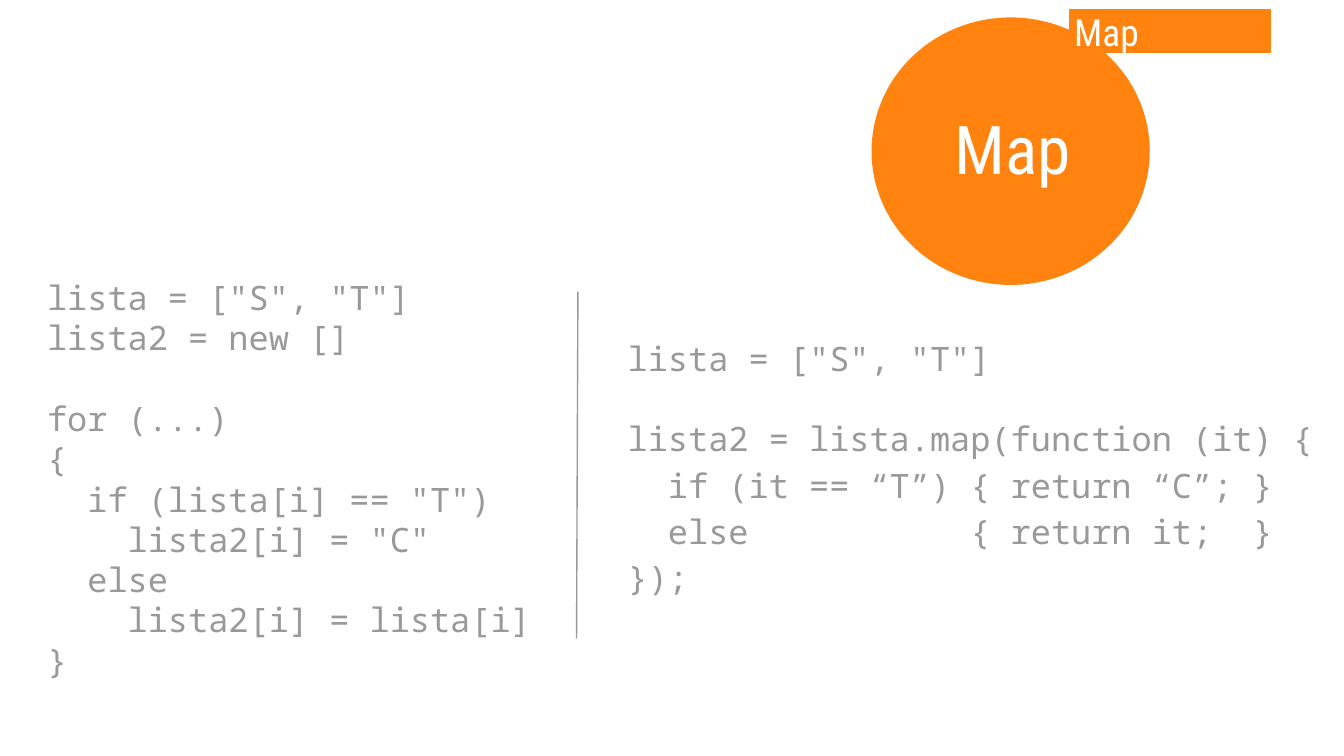
"""Build the slide comparing a loop with map."""
from typing import NamedTuple

from lxml import etree
from pptx import Presentation
from pptx import util as u
from pptx.dml.color import RGBColor
from pptx.enum import shapes, text
from pptx.oxml.ns import qn

COLUMNS, ROWS = 100, 56.25
CELL = u.Inches(0.1)
ORANGE, WHITE, GRAY = "FF830E", "FFFFFF", "999999"
HEAD_FONT, CODE_FONT = "Roboto Condensed", "Noto Sans Mono"
CODE_SIZE = 18
BLANK = 1.2 * CODE_SIZE


class Box(NamedTuple):
    """Place and size in grid columns and rows."""
    col: float
    row: float
    cols: float
    rows: float


class Line(NamedTuple):
    """One line of code and its spacing."""
    text: str
    before: float = 0
    spacing: float = 1.0


LOOP = [
    Line('lista = ["S", "T"]'),
    Line("lista2 = new []"),
    Line("for (...)", BLANK),
    Line("{"),
    Line('  if (lista[i] == "T")'),
    Line('    lista2[i] = "C"'),
    Line("  else"),
    Line("    lista2[i] = lista[i]"),
    Line("}"),
]
MAPPED = [
    Line('lista = ["S", "T"]'),
    Line("lista2 = lista.map(function (it) {", BLANK),
    Line("  if (it == “T”) { return “C”; }", spacing=1.15),
    Line("  else           { return it;  }", spacing=1.15),
    Line("});", spacing=1.15),
]


def rgb(value: str) -> RGBColor:
    """Turn a hex string into a colour."""
    return RGBColor.from_string(value)


def grid(*cells: float) -> list[int]:
    """Turn grid cells into lengths."""
    return [round(c * CELL) for c in cells]


def add_block(s, kind, box: Box) -> None:
    """Draw an orange shape."""
    sp = s.shapes.add_shape(kind, *grid(*box))
    sp.shadow.inherit = False
    sp.fill.solid()
    sp.fill.fore_color.rgb = sp.line.color.rgb = rgb(ORANGE)
    sp.line.width = u.Pt(0.75)


def frame(sp, box: Box, anchor):
    """Move a text shape to its box, in front, and return its text frame."""
    sp.left, sp.top, sp.width, sp.height = grid(*box)
    parent = sp._element.getparent()
    parent.append(sp._element)
    tf = sp.text_frame
    tf.word_wrap, tf.auto_size, tf.vertical_anchor = True, text.MSO_AUTO_SIZE.NONE, anchor
    tf.margin_left = tf.margin_right = tf.margin_top = tf.margin_bottom = CELL
    return tf


def write(p, words: str, font: str, size: float, color: str) -> None:
    """Add formatted words to a paragraph."""
    r = p.add_run()
    r.text = words
    r.font.name, r.font.size, r.font.color.rgb = font, u.Pt(size), rgb(color)


def add_heading(sp, box: Box, size: float, align) -> None:
    """Write the white name of the function."""
    p = frame(sp, box, text.MSO_ANCHOR.TOP).paragraphs[0]
    p.alignment = align
    write(p, "Map", HEAD_FONT, size, WHITE)


def add_code(sp, box: Box, lines: list[Line]) -> None:
    """Write lines of code without bullets."""
    tf = frame(sp, box, text.MSO_ANCHOR.MIDDLE)
    for i, line in enumerate(lines):
        p = tf.add_paragraph() if i else tf.paragraphs[0]
        p.line_spacing, p.space_before = line.spacing, u.Pt(line.before)
        ppr = p._p.get_or_add_pPr()
        ppr.set("marL", "0")
        ppr.set("indent", "0")
        etree.SubElement(ppr, qn("a:buNone"))
        write(p, line.text, CODE_FONT, CODE_SIZE, GRAY)


def add_divider(s, *ends: float) -> None:
    """Draw the thin line between the two listings."""
    line = s.shapes.add_connector(shapes.MSO_CONNECTOR.STRAIGHT, *grid(*ends))
    line.line.color.rgb, line.line.width = rgb(GRAY), u.Pt(0.75)
    etree.SubElement(line._element.spPr, qn("a:effectLst"))


def main() -> None:
    """Build and save the slide."""
    prs = Presentation()
    prs.slide_width, prs.slide_height = grid(COLUMNS, ROWS)
    s = prs.slides.add_slide(prs.slide_layouts[3])
    title, left, right = list(s.placeholders)[:3]
    add_block(s, shapes.MSO_SHAPE.OVAL, Box(64.9, 1.35, 20.6, 19.8))
    add_block(s, shapes.MSO_SHAPE.RECTANGLE, Box(79.6, 0.7, 14.9, 3.2))
    label = Box(78.95, -0.3, 10.3, 4.2)
    add_heading(s.shapes.add_textbox(*grid(*label)), label, 20, text.PP_ALIGN.LEFT)
    add_heading(title, Box(63.75, 7, 23.2, 8.1), 36, text.PP_ALIGN.CENTER)
    add_code(left, Box(2.5, 21.95, 43.5, 27.3), LOOP)
    add_code(right, Box(45.7, 21.15, 54, 27.3), MAPPED)
    add_divider(s, 43, 21.7, 42.9, 47.5)
    prs.save("out.pptx")


if __name__ == "__main__":
    main()
